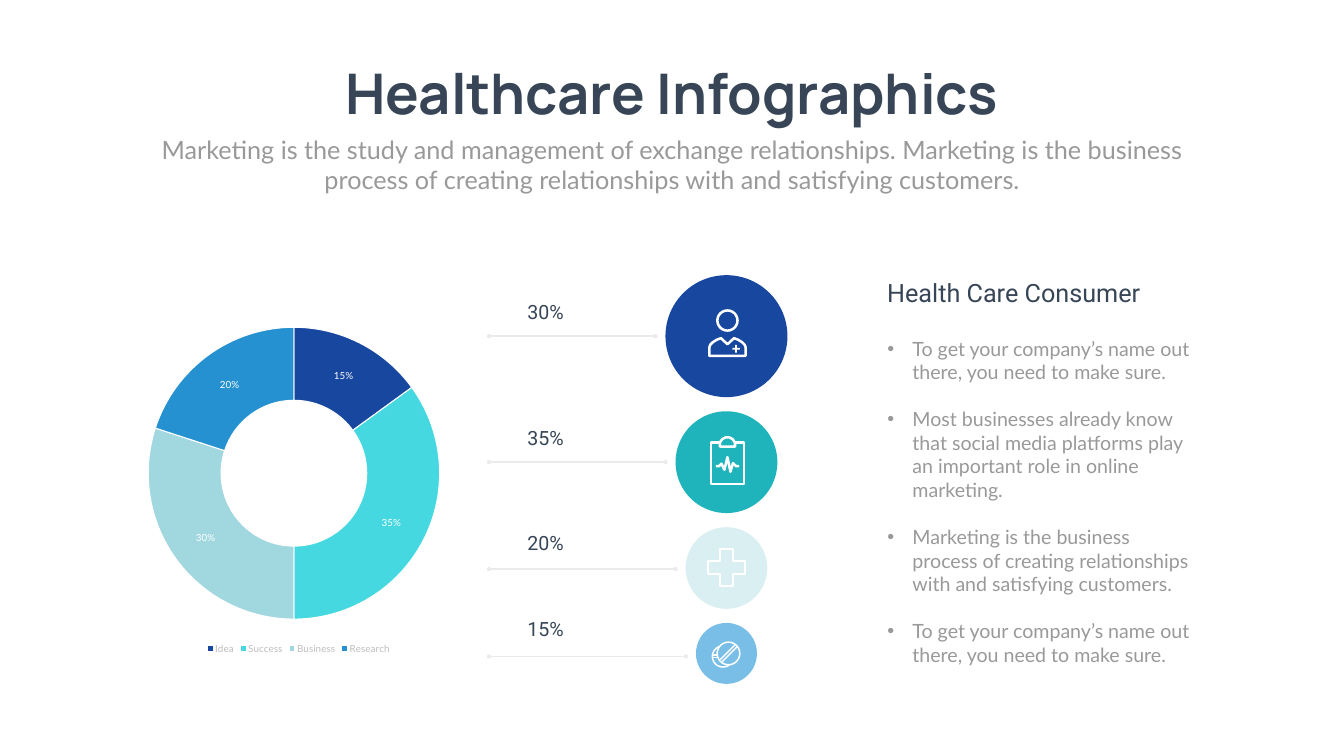
from dataclasses import dataclass

from lxml import etree
from pptx import Presentation
from pptx import util as u
from pptx.chart.data import CategoryChartData
from pptx.dml.color import RGBColor
from pptx.enum import chart as ch
from pptx.enum import shapes, text
from pptx.oxml.ns import qn

PX = 9144  # EMU in one px, 100 px to the inch


@dataclass(frozen=True)
class Theme:
    page: str = "FEFFFE"
    white: str = "FFFFFF"
    ink: str = "374556"
    body: str = "999999"
    legend: str = "BDBDBD"
    rule: str = "EBEBEB"
    slices: tuple = ("18479F", "45D8E0", "A1D7DF", "2591D0")
    discs: tuple = ("18479F", "1FB4BC", "D9EFF2", "78BEE7")
    title_font: str = "Manrope"
    head_font: str = "Roboto"
    body_font: str = "Lato"
    title_size: int = 80
    lead_size: int = 36
    text_size: int = 28
    chart_size: int = 14


T = Theme()
OVAL = shapes.MSO_SHAPE.OVAL
CROSS = shapes.MSO_SHAPE.CROSS


def px(*lengths):
    return [u.Emu(round(length * PX)) for length in lengths]


def style(font, name, size, color, bold=False):
    font.name, font.size, font.bold = name, u.Pt(size), bold
    font.color.rgb = RGBColor.from_string(color)


def write(paragraph, words, *look, align=None, bold=False):
    paragraph.alignment = align
    run = paragraph.add_run()
    run.text = words
    style(run.font, *look, bold)


def prepare(frame, anchor=text.MSO_ANCHOR.TOP, wrap=True):
    frame.auto_size = text.MSO_AUTO_SIZE.NONE
    frame.word_wrap, frame.vertical_anchor = wrap, anchor
    return frame


def place(holder, box):
    holder.left, holder.top, holder.width, holder.height = px(*box)
    return holder.text_frame


def label(slide, box, words, *look, align=None, anchor=text.MSO_ANCHOR.TOP):
    frame = prepare(slide.shapes.add_textbox(*px(*box)).text_frame, anchor)
    write(frame.paragraphs[0], words, *look, align=align)


def paint(shape, fill=None, stroke=None):
    """Fill the shape, and outline it in white when a stroke in px is given."""
    shape.shadow.inherit = False
    if fill:
        shape.fill.solid()
        shape.fill.fore_color.rgb = RGBColor.from_string(fill)
    else:
        shape.fill.background()
    if stroke:
        shape.line.color.rgb = RGBColor.from_string(T.white)
        shape.line.width = px(stroke)[0]
    else:
        shape.line.fill.background()


def centred(slide, kind, cx, cy, size, fill=None, stroke=None):
    box = px(cx - size / 2, cy - size / 2, size, size)
    shape = slide.shapes.add_shape(kind, *box)
    paint(shape, fill, stroke)
    return shape


def outline(slide, cx, cy, points, stroke, close=False):
    path = [(cx + x, cy + y) for x, y in points]
    builder = slide.shapes.build_freeform(*path[0], scale=PX)
    builder.add_line_segments(path[1:], close=close)
    paint(builder.convert_to_shape(), stroke=stroke)


def line(slide, start, end, color, width, dots=False):
    rule = slide.shapes.add_connector(
        shapes.MSO_CONNECTOR.STRAIGHT, *px(*start, *end))
    rule.line.color.rgb = RGBColor.from_string(color)
    rule.line.width = u.Pt(width)
    if dots:
        ln = rule.line._get_or_add_ln()
        for tag in ("a:headEnd", "a:tailEnd"):
            etree.SubElement(ln, qn(tag), type="oval")
    etree.SubElement(rule._element.spPr, qn("a:effectLst"))


def doctor_icon(slide, cx, cy, _):
    cx += 2
    centred(slide, OVAL, cx, cy - 31, 40, stroke=5)
    left = [(-36, 39), (-36, 22), (-34, 17), (-29, 12), (-21, 7), (-13, 4)]
    right = [(-x, y) for x, y in reversed(left)]
    outline(slide, cx, cy, [*left, (0, 16), *right], 5, close=True)
    centred(slide, CROSS, cx + 17, cy + 25, 15, T.white).adjustments[0] = 0.38


def clipboard_icon(slide, cx, cy, _):
    cx += 2
    board = [(-15, -39), (-33, -39), (-33, 43), (33, 43), (33, -39), (15, -39)]
    clip = [(-15, -31), (-15, -39), (-10, -46), (-4, -49),
            (4, -49), (10, -46), (15, -39), (15, -31)]
    pulse = [(-23, 8), (-17, 8), (-12, 3), (-6, 15), (0, -10),
             (6, 19), (11, 2), (17, 8), (23, 8)]
    outline(slide, cx, cy, board, 5)
    outline(slide, cx, cy, clip, 5, close=True)
    outline(slide, cx, cy, pulse, 5)


def cross_icon(slide, cx, cy, _):
    centred(slide, CROSS, cx, cy - 1, 72, stroke=4).adjustments[0] = 0.33


def pills_icon(slide, cx, cy, disc):
    centred(slide, OVAL, cx - 7, cy + 6, 42, stroke=3)
    for y in (cy + 3, cy + 8):
        line(slide, (cx - 28, y), (cx - 16, y), T.white, 2)
    centred(slide, OVAL, cx + 4, cy, 45, disc, 3)
    for shift in (0, 4):
        line(slide, (cx - 12 + shift, cy + 12 + shift),
             (cx + 17 + shift, cy - 17 + shift), T.white, 2)


def header(slide, left, top, width):
    middle = text.PP_ALIGN.CENTER
    title = place(slide.shapes.title, (left, top, width, 145))
    write(prepare(title, wrap=False).paragraphs[0], "Healthcare Infographics",
          T.title_font, T.title_size, T.ink, align=middle, bold=True)
    label(slide, (left, top + 149, width, 131),
          "Marketing is the study and management of exchange relationships. "
          "Marketing is the business process of creating relationships with "
          "and satisfying customers.",
          T.body_font, T.lead_size, T.body, align=middle)


def share_chart(slide, *box):
    data = CategoryChartData()
    data.categories = ["Idea", "Success", "Business", "Research"]
    data.add_series("Series 1", (15, 35, 30, 20))
    chart = slide.shapes.add_chart(
        ch.XL_CHART_TYPE.DOUGHNUT, *px(*box), data).chart
    style(chart.font, T.body_font, T.chart_size, T.body)
    chart.has_title, chart.has_legend = False, True
    chart.legend.position = ch.XL_LEGEND_POSITION.BOTTOM
    chart.legend.include_in_layout = False
    style(chart.legend.font, T.body_font, T.chart_size, T.legend)

    plot = chart.plots[0]
    plot.vary_by_categories = True
    for index, color in enumerate(T.slices):
        part = plot.series[0].points[index].format
        part.fill.solid()
        part.fill.fore_color.rgb = RGBColor.from_string(color)
        part.line.color.rgb = RGBColor.from_string(T.white)
        part.line.width = u.Pt(1.5)
    labels = plot.series[0].data_labels
    labels.show_percentage, labels.show_value = True, False
    labels.number_format, labels.number_format_is_linked = "0%", False
    style(labels.font, T.body_font, T.chart_size, T.white)

    plot._element.find(qn("c:holeSize")).set("val", "75")
    area = plot._element.getparent()
    for old in area.findall(qn("c:layout")):
        area.remove(old)
    layout = etree.Element(qn("c:layout"))
    area.insert(0, layout)
    manual = etree.SubElement(layout, qn("c:manualLayout"))
    for tag, value in (("layoutTarget", "inner"), ("xMode", "edge"),
                       ("yMode", "edge"), ("x", "0"), ("y", "0.01"),
                       ("w", "0.97"), ("h", "0.98")):
        etree.SubElement(manual, qn("c:" + tag), val=value)


def share_scale(slide, left, top, width):
    """Stack shrinking discs at the right, each with a dotted rule and share."""
    cx = left + width - 121
    rows = (("30%", 242, 0, doctor_icon), ("35%", 202, 0, clipboard_icon),
            ("20%", 162, 2, cross_icon), ("15%", 121, 6, pills_icon))
    for (share, size, drop, icon), color in zip(rows, T.discs):
        cy = top + size / 2
        centred(slide, OVAL, cx, cy, size, color)
        icon(slide, cx, cy, color)
        rule = cy + drop
        line(slide, (left, rule), (cx - size / 2 - 20, rule), T.rule, 2, dots=True)
        label(slide, (left, cy - 78, 224, 57), share, T.head_font, T.text_size,
              T.ink, align=text.PP_ALIGN.CENTER, anchor=text.MSO_ANCHOR.MIDDLE)
        top += size + 28


def consumer_list(slide, left, top, width):
    label(slide, (left, top, width, 71), "Health Care Consumer",
          T.head_font, T.lead_size, T.ink)
    frame = prepare(place(slide.placeholders[1], (left, top + 118, width, 670)))
    make_sure = "To get your company’s name out there, you need to make sure."
    points = (make_sure,
              "Most businesses already know that social media platforms play "
              "an important role in online marketing.",
              "Marketing is the business process of creating relationships "
              "with and satisfying customers.",
              make_sure)
    for index, words in enumerate(points):
        point = frame.add_paragraph() if index else frame.paragraphs[0]
        point.space_before = u.Pt(33.6 if index else 0)
        props = point._p.get_or_add_pPr()
        props.set("marL", str(50 * PX))
        props.set("indent", str(-50 * PX))
        etree.SubElement(props, qn("a:buFont"), typeface="Arial")
        etree.SubElement(props, qn("a:buChar"), char="•")
        write(point, words, T.body_font, T.text_size, T.body)


def main():
    deck = Presentation()
    deck.slide_width, deck.slide_height = px(2666, 1500)
    slide = deck.slides.add_slide(deck.slide_layouts[1])
    slide.background.fill.solid()
    slide.background.fill.fore_color.rgb = RGBColor.from_string(T.page)
    header(slide, 292, 112, 2082)
    share_chart(slide, 293, 576, 597, 726)
    share_scale(slide, 970, 546, 592)
    consumer_list(slide, 1750, 545, 624)
    deck.save("out.pptx")


if __name__ == "__main__":
    main()
